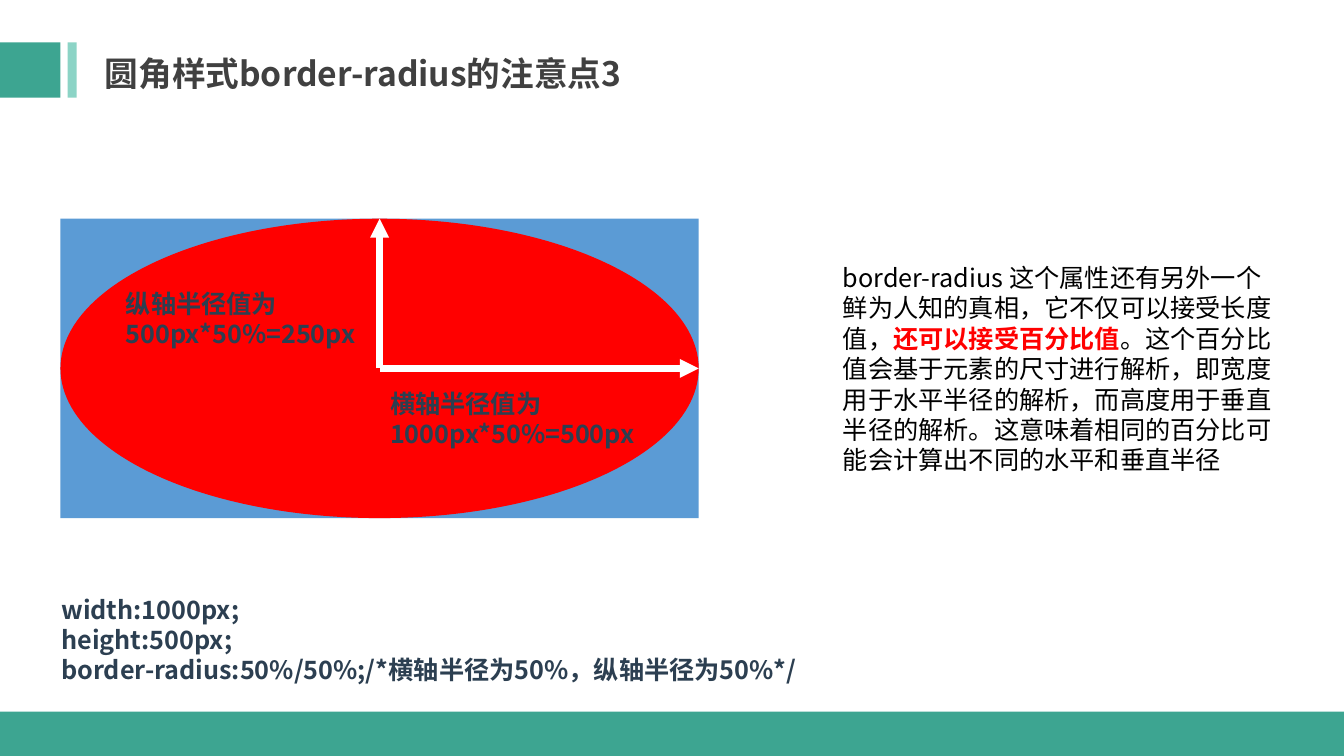
from lxml import etree
from pptx import Presentation
from pptx.dml.color import RGBColor
from pptx.enum import shapes, text
from pptx.oxml import ns
from pptx.util import Inches, Pt

FONT = "Noto Sans CJK SC"
COLORS = {
    "teal": "3DA591", "mint": "8CD4C6", "blue": "5B9BD5", "red": "FF0000",
    "white": "FFFFFF", "black": "000000", "title": "404040", "navy": "2C3F51",
}

TITLE = "圆角样式border-radius的注意点3"
EXPLANATION = [
    ("border-radius 这个属性还有另外一个鲜为人知的真相，它不仅可以接受长度值，", "black", False),
    ("还可以接受百分比值", "red", True),
    ("。这个百分比值会基于元素的尺寸进行解析，即宽度用于水平半径的解析，"
     "而高度用于垂直半径的解析。这意味着相同的百分比可能会计算出不同的水平和垂直半径",
     "black", False),
]
# Left, top, width, height in inches, then the lines
NOTES = [
    ((0.51, 5.84, 7.73, 1.01), ["width:1000px;", "height:500px;",
                                "border-radius:50%/50%;/*横轴半径为50%，纵轴半径为50%*/"]),
    ((3.77, 3.8, 2.78, 0.71), ["横轴半径值为", "1000px*50%=500px"]),
    ((1.15, 2.81, 2.62, 0.71), ["纵轴半径值为", "500px*50%=250px"]),
]
BOX = (0.6, 2.17, 6.33, 2.97)
RECT, OVAL = shapes.MSO_SHAPE.RECTANGLE, shapes.MSO_SHAPE.OVAL
FIGURES = [
    (RECT, (0, 0.42, 0.6, 0.55), "teal"),
    (RECT, (0.67, 0.42, 0.09, 0.55), "mint"),
    (RECT, (0, 7.06, 13.33, 0.44), "teal"),
    (RECT, BOX, "blue"),
    (OVAL, BOX, "red"),
]


def rgb(name):
    return RGBColor.from_string(COLORS[name])


def inches(values):
    return [Inches(v) for v in values]


def add_figure(slide, kind, at, color):
    sp = slide.shapes.add_shape(kind, *inches(at))
    sp.shadow.inherit = False
    sp.fill.solid()
    sp.fill.fore_color.rgb = rgb(color)
    sp.line.fill.background()


def add_arrow(slide, start, end):
    line = slide.shapes.add_connector(
        shapes.MSO_CONNECTOR.STRAIGHT, *inches(start + end))
    line.line.color.rgb = rgb("white")
    line.line.width = Pt(4.5)
    etree.SubElement(line.line._get_or_add_ln(), ns.qn("a:tailEnd"), type="triangle")
    etree.SubElement(line._element.spPr, ns.qn("a:effectLst"))


def add_run(p, words, color, bold, size=18):
    r = p.add_run()
    r.text = words
    r.font.size = Pt(size)
    r.font.bold = bold
    r.font.color.rgb = rgb(color)
    r.font.name = FONT
    etree.SubElement(r.font._element, ns.qn("a:ea"), typeface=FONT)


def place(sp, at):
    """Move a placeholder and return its text frame."""
    sp.left, sp.top, sp.width, sp.height = inches(at)
    tf = sp.text_frame
    tf.auto_size = text.MSO_AUTO_SIZE.NONE
    tf.word_wrap = True
    return tf


def set_paragraph(p):
    p.alignment = text.PP_ALIGN.LEFT
    p.space_before = Pt(0)
    p.line_spacing = Pt(21.7)


def main():
    prs = Presentation()
    prs.slide_width, prs.slide_height = inches((13.33, 7.5))
    slide = prs.slides.add_slide(prs.slide_layouts[1])

    for figure in FIGURES:
        add_figure(slide, *figure)

    left, top, width, height = BOX
    center = (left + width / 2, top + height / 2)
    add_arrow(slide, center, (left + width, center[1]))
    add_arrow(slide, center, (center[0], top))

    tf = place(slide.shapes.title, (0.94, 0.47, 6.33, 0.5))
    tf.vertical_anchor = text.MSO_ANCHOR.MIDDLE
    tf.paragraphs[0].alignment = text.PP_ALIGN.LEFT
    add_run(tf.paragraphs[0], TITLE, "title", True, 24)

    p = place(slide.placeholders[1], (8.26, 2.55, 4.47, 2.22)).paragraphs[0]
    set_paragraph(p)
    pPr = p._p.get_or_add_pPr()
    pPr.set("marL", "0")
    pPr.set("indent", "0")
    etree.SubElement(pPr, ns.qn("a:buNone"))
    for words, color, bold in EXPLANATION:
        add_run(p, words, color, bold)

    for at, lines in NOTES:
        tf = slide.shapes.add_textbox(*inches(at)).text_frame
        tf.word_wrap = True
        for i, words in enumerate(lines):
            p = tf.add_paragraph() if i else tf.paragraphs[0]
            set_paragraph(p)
            add_run(p, words, "navy", True)

    prs.save("out.pptx")


if __name__ == "__main__":
    main()
